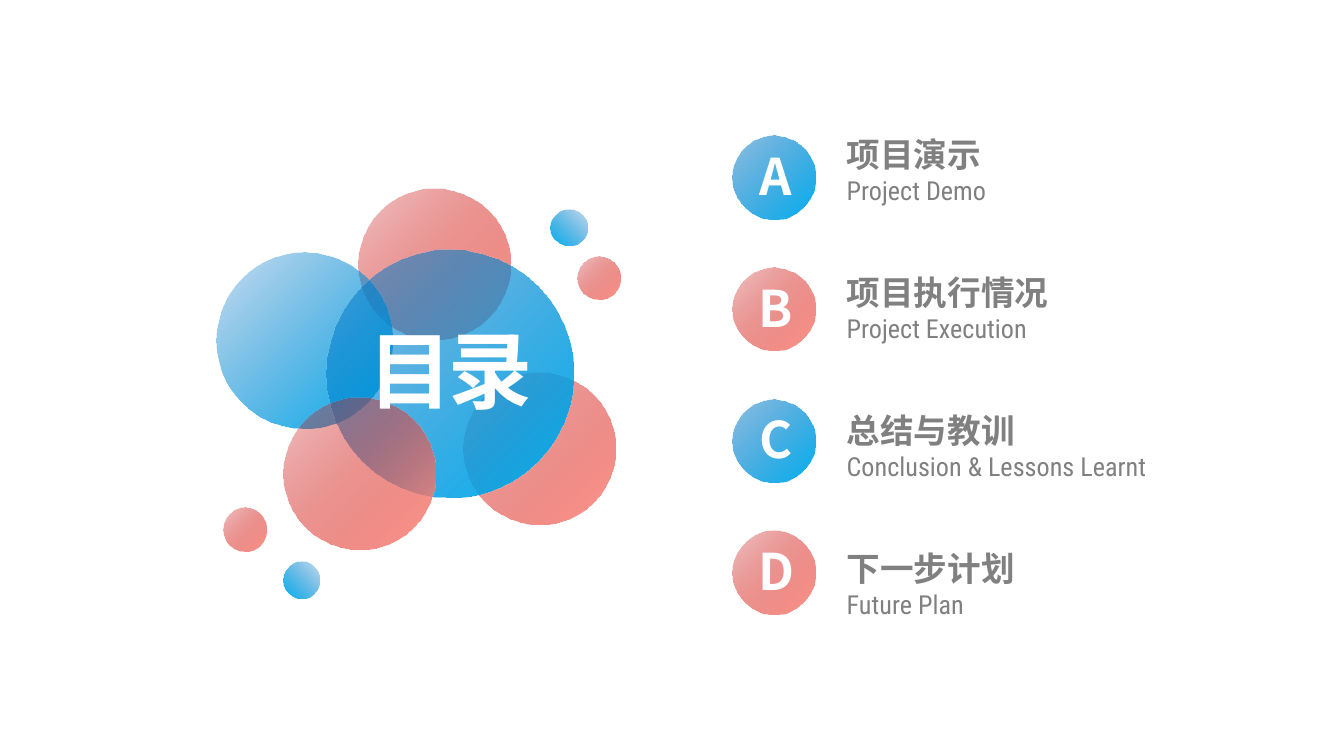
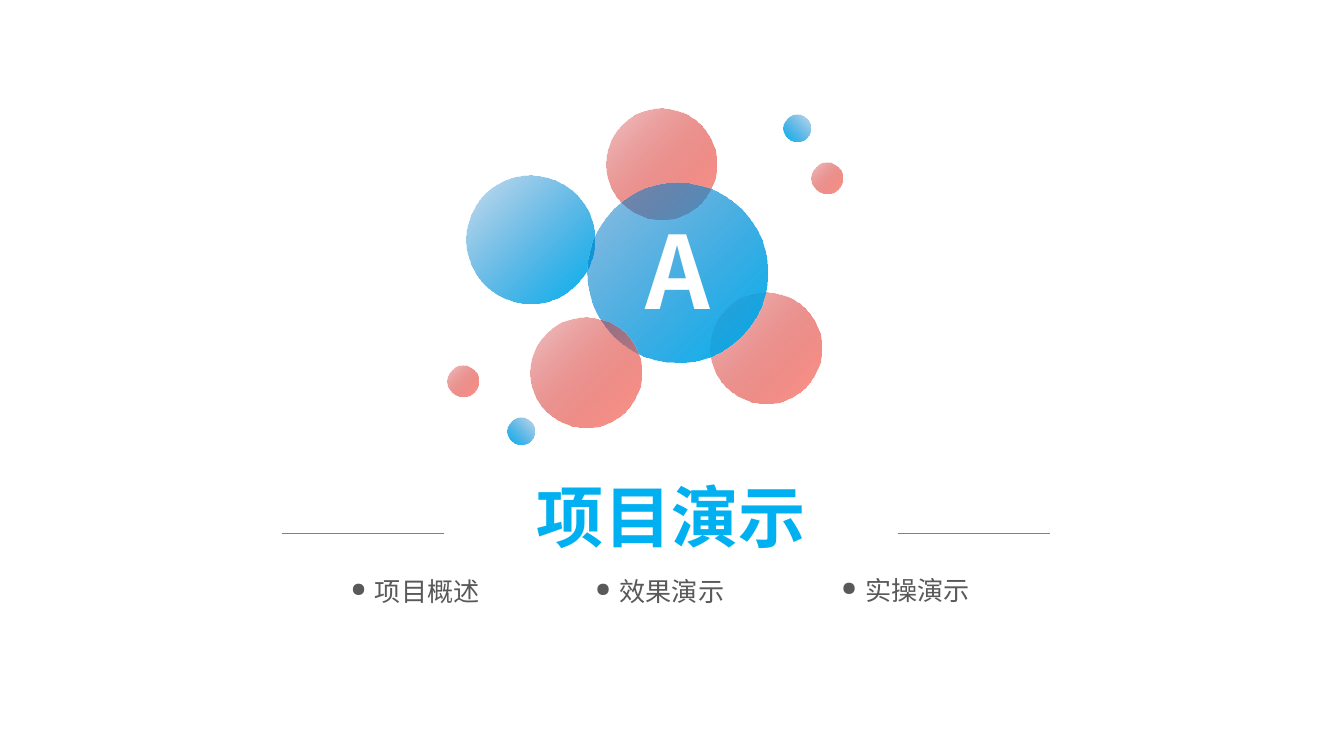
from dataclasses import dataclass

from lxml.etree import SubElement
from pptx import Presentation
from pptx.dml.color import RGBColor
from pptx.enum.shapes import MSO_CONNECTOR, MSO_SHAPE
from pptx.enum.text import MSO_ANCHOR, MSO_AUTO_SIZE, PP_ALIGN
from pptx.oxml.ns import qn
from pptx.util import Inches, Pt


@dataclass(frozen=True)
class Theme:
    """Colours, fonts and type sizes of the deck."""
    white: str = "FFFFFF"
    gray: str = "808080"
    dark: str = "595959"
    blue: str = "00B0F0"
    deep: str = "0070C0"
    coral: str = "FE978C"
    red: str = "C00000"
    sans: str = "Noto Sans CJK SC"
    slim: str = "Roboto Condensed"
    hero: int = 54
    cover: int = 45
    head: int = 36
    badge: int = 27
    item: int = 18
    note: int = 14
    tight: float = -2.2


T = Theme()
WARM = (T.red, T.coral, 22, 45)
COOL = (T.deep, T.blue, 22, 45)
FULL = (T.deep, T.blue, 44, 45)
DROP = (T.deep, T.blue, 22, 135)

BUBBLES = [WARM, WARM, COOL, FULL, DROP, WARM, WARM, DROP, WARM]
AGENDA_SPOTS = [
    (2.67, 1.4, 1.13), (3.45, 2.77, 1.13), (1.61, 1.88, 1.31),
    (2.43, 1.86, 1.84), (4.1, 1.56, 0.27), (4.3, 1.91, 0.32),
    (2.11, 2.96, 1.13), (2.11, 4.18, 0.27), (1.66, 3.78, 0.32),
]
SECTION_SPOTS = [
    (4.51, 0.81, 0.82), (5.29, 2.18, 0.82), (3.47, 1.31, 0.95),
    (4.37, 1.36, 1.34), (5.83, 0.85, 0.2), (6.04, 1.21, 0.23),
    (3.95, 2.36, 0.82), (3.78, 3.11, 0.2), (3.33, 2.72, 0.23),
]
AGENDA = [
    ("A", "项目演示", "Project Demo"),
    ("B", "项目执行情况", "Project Execution"),
    ("C", "总结与教训", "Conclusion & Lessons Learnt"),
    ("D", "下一步计划", "Future Plan"),
]
TOPICS = [("项目概述", 2.58, 4.25), ("效果演示", 4.4, 4.25),
          ("实操演示", 6.23, 4.24)]
RULES = [(2.1, 3.3), (6.68, 7.81)]
RULE_TOP = 3.97


def rgb(code):
    """Turn a hex code into a colour."""
    return RGBColor.from_string(code)


def place(shape, *box):
    """Move a shape to left, top, width and height in inches."""
    shape.left, shape.top, shape.width, shape.height = map(Inches, box)
    return shape


def area(shapes, *box):
    """Add a text box."""
    return shapes.add_textbox(*map(Inches, box))


def write(shape, text, size, color, font=T.sans, bold=False, center=True,
          pad=0.04, gap=None, wrap=True, mark=None):
    """Add one formatted paragraph to a shape."""
    frame = shape.text_frame
    para = frame.add_paragraph() if frame.text else frame.paragraphs[0]
    frame.word_wrap = wrap
    frame.auto_size = MSO_AUTO_SIZE.SHAPE_TO_FIT_TEXT
    frame.vertical_anchor = MSO_ANCHOR.TOP
    frame.margin_left = frame.margin_right = Inches(pad)
    frame.margin_top = frame.margin_bottom = Inches(pad)
    para.alignment = PP_ALIGN.CENTER if center else PP_ALIGN.LEFT
    run = para.add_run()
    run.text = text
    run.font.size, run.font.bold, run.font.name = Pt(size), bold, font
    run.font.color.rgb = rgb(color)
    props = list(shape.element.iter(qn("a:rPr")))[-1]
    SubElement(props, qn("a:ea")).set("typeface", font)
    if gap:
        props.set("spc", str(round(gap * 100)))
    if mark:
        style = next(shape.element.iter(qn("a:pPr")))
        style.set("marL", str(Inches(0.18)))
        style.set("indent", str(-Inches(0.18)))
        SubElement(style, qn("a:buSzPct")).set("val", "75000")
        SubElement(style, qn("a:buChar")).set("char", mark)


def bubble(shapes, left, top, size, kind):
    """Draw a circle that fades in from a clear edge."""
    start, end, alpha, angle = kind
    disc = shapes.add_shape(
        MSO_SHAPE.OVAL, *map(Inches, (left, top, size, size)))
    disc.shadow.inherit = False
    disc.line.fill.background()
    disc.fill.gradient()
    disc.fill.gradient_angle = 360 - angle
    for stop, code in zip(disc.fill.gradient_stops, (start, end)):
        stop.color.rgb = rgb(code)
    first = next(disc.element.spPr.iter(qn("a:srgbClr")))
    SubElement(first, qn("a:alpha")).set("val", str(alpha * 1000))


def rule(shapes, left, right):
    """Draw a thin level line."""
    line = shapes.add_connector(
        MSO_CONNECTOR.STRAIGHT,
        *map(Inches, (left, RULE_TOP, right, RULE_TOP)))
    line.line.color.rgb = rgb(T.gray)
    line.line.width = Pt(0.75)
    SubElement(line.element.spPr, qn("a:effectLst"))


def start(deck, spots, title, box, **style):
    """Add a slide with its bubbles and the title in front."""
    slide = deck.slides.add_slide(deck.slide_layouts[5])
    for spot, kind in zip(spots, BUBBLES):
        bubble(slide.shapes, *spot, kind)
    head = place(slide.shapes.title, *box)
    write(head, title, bold=True, **style)
    head.element.getparent().append(head.element)
    return slide.shapes


def agenda(deck):
    """Build the contents slide."""
    shapes = start(deck, AGENDA_SPOTS, "目录", (2.45, 2.33, 1.8, 0.95),
                   size=T.cover, color=T.white, gap=T.tight)
    for i, (mark, name, note) in enumerate(AGENDA):
        entry = area(shapes, 6.3, 1 + 1.025 * i, 3.26 if i else 2.59, 0.54)
        write(entry, name, T.item, T.gray, bold=True, center=False, pad=0)
        write(entry, note, T.note, T.gray, font=T.slim, center=False, pad=0)
        top = 1.01 + 0.98 * i
        badge = shapes.add_group_shape().shapes
        bubble(badge, 5.45, top, 0.62, WARM if i % 2 else FULL)
        write(area(badge, 5.28, top + 0.02, 0.99, 0.54), mark, T.badge,
              T.white, bold=True, pad=0.05, gap=T.tight)


def section(deck):
    """Build the opening slide of the first section."""
    mark, name, _ = AGENDA[0]
    shapes = start(deck, SECTION_SPOTS, name, (2.89, 3.5, 4.21, 0.68),
                   size=T.head, color=T.blue)
    write(area(shapes, 4.38, 1.51, 1.32, 0.98), mark, T.hero, T.white,
          bold=True, gap=T.tight)
    for ends in RULES:
        rule(shapes, *ends)
    for topic, left, top in TOPICS:
        write(area(shapes, left, top, 1.02, 0.29), topic, T.note,
              T.dark, center=False, pad=0.03, wrap=False, mark="●")


def main():
    """Build and save the deck."""
    deck = Presentation()
    deck.slide_width = Inches(10)
    deck.slide_height = deck.slide_width * 9 // 16
    agenda(deck)
    section(deck)
    deck.save("out.pptx")


if __name__ == "__main__":
    main()
